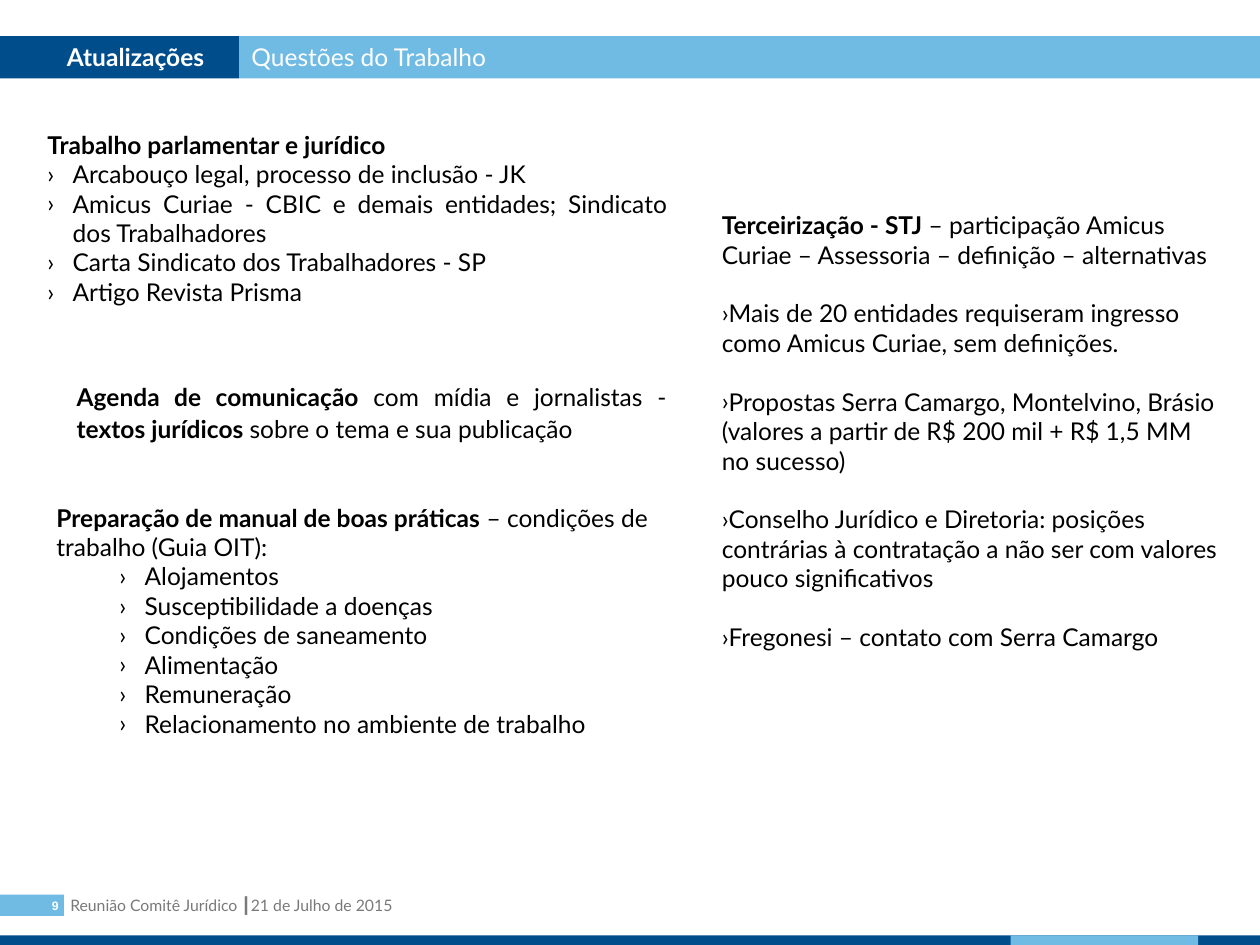
from dataclasses import dataclass
from typing import Optional

from lxml.etree import SubElement
from pptx import Presentation
from pptx.dml.color import RGBColor
from pptx.enum.shapes import MSO_SHAPE
from pptx.enum.text import MSO_ANCHOR, MSO_AUTO_SIZE, PP_ALIGN
from pptx.oxml.ns import qn
from pptx.util import Pt

NAVY, SKY, WHITE, BLACK, GRAY = "004D8C", "6FBBE4", "FFFFFF", "000000", "797979"
BULLET_INDENT = 14.4
BLANK_LINE = 16.8


@dataclass
class Style:
    size: float = 14
    color: str = BLACK
    font: str = "Lato"


@dataclass
class Line:
    runs: list[tuple[str, bool]]
    alignment: PP_ALIGN = PP_ALIGN.LEFT
    margin: float = 0
    bullet: bool = False
    space_before: float = 0
    line_spacing: float = 1.0


@dataclass
class Box:
    left: float
    top: float
    width: float
    height: float
    lines: list[Line]
    style: Style
    fill: Optional[str] = None
    insets: tuple[float, float, float, float] = (7.2, 3.6, 7.2, 3.6)
    anchor: MSO_ANCHOR = MSO_ANCHOR.TOP


def rgb(color: str) -> RGBColor:
    return RGBColor.from_string(color)


def set_attributes(target, values: dict) -> None:
    for name, value in values.items():
        setattr(target, name, value)


def add_bullet(properties) -> None:
    bullet_color = SubElement(properties, qn("a:buClr"))
    SubElement(bullet_color, qn("a:srgbClr"), val=BLACK)
    SubElement(properties, qn("a:buFont"), typeface="Lato")
    SubElement(properties, qn("a:buChar"), char="›")


def write_line(paragraph, line: Line, style: Style) -> None:
    properties = paragraph._p.get_or_add_pPr()
    properties.set("marL", str(Pt(line.margin)))
    properties.set("indent", str(Pt(-BULLET_INDENT if line.bullet else 0)))
    if line.bullet:
        add_bullet(properties)
    set_attributes(paragraph, {
        "alignment": line.alignment,
        "line_spacing": line.line_spacing,
        "space_before": Pt(line.space_before),
    })
    for text, bold in line.runs:
        run = paragraph.add_run()
        run.text = text
        set_attributes(run.font, {"name": style.font, "size": Pt(style.size), "bold": bold})
        run.font.color.rgb = rgb(style.color)


def draw_box(slide, box: Box) -> None:
    """Draw a filled rectangle, or a plain text box when there is no fill."""
    bounds = [Pt(value) for value in (box.left, box.top, box.width, box.height)]
    if box.fill:
        shape = slide.shapes.add_shape(MSO_SHAPE.RECTANGLE, *bounds)
        shape.shadow.inherit = False
        shape.fill.solid()
        shape.fill.fore_color.rgb = rgb(box.fill)
        shape.line.fill.background()
    else:
        shape = slide.shapes.add_textbox(*bounds)
    left, top, right, bottom = (Pt(value) for value in box.insets)
    frame = shape.text_frame
    set_attributes(frame, {
        "margin_left": left, "margin_top": top,
        "margin_right": right, "margin_bottom": bottom,
        "word_wrap": True,
        "vertical_anchor": box.anchor,
        "auto_size": MSO_AUTO_SIZE.NONE if box.fill else MSO_AUTO_SIZE.SHAPE_TO_FIT_TEXT,
    })
    for index, line in enumerate(box.lines):
        paragraph = frame.add_paragraph() if index else frame.paragraphs[0]
        write_line(paragraph, line, box.style)


def bullets(texts: list[str], **options) -> list[Line]:
    return [Line([(text, False)], bullet=True, **options) for text in texts]


body = Style()
footer = [
    Box(33.1, 508.3, 525.6, 18,
        [Line([("Reunião Comitê Jurídico ┃21 de Julho de 2015", False)])], Style(9, GRAY)),
    Box(0, 511.2, 36.5, 12.2, [Line([("9", True)], PP_ALIGN.RIGHT)],
        Style(7, WHITE, "Arial"), SKY, (0, 0, 2.9, 0), MSO_ANCHOR.MIDDLE),
    Box(0, 534.5, 720, 5.5, [], body, NAVY),
    Box(577.5, 534.5, 107.2, 5.5, [], body, SKY),
]
header = [
    Box(0, 20.6, 136.6, 24.2, [Line([("Atualizações", True)], margin=35.3)],
        Style(color=WHITE), NAVY, (2.9, 3.6, 2.9, 3.6)),
    Box(136.6, 20.6, 583.4, 24.2, [Line([("Questões do Trabalho", False)])],
        Style(color=WHITE), SKY),
]
legal_work = Box(20, 70.6, 368.6, 108.7, [
    Line([("Trabalho parlamentar e jurídico", True)]),
    *bullets(["Arcabouço legal, processo de inclusão - JK"], margin=BULLET_INDENT),
    *bullets([
        "Amicus Curiae - CBIC e demais entidades; Sindicato dos Trabalhadores",
        "Carta Sindicato dos Trabalhadores - SP",
        "Artigo Revista Prisma",
    ], margin=BULLET_INDENT, alignment=PP_ALIGN.JUSTIFY),
], body)
good_practices = Box(25.2, 283.7, 374.4, 190.8, [
    Line([("Preparação de manual de boas práticas ", True),
          ("– condições de trabalho (Guia OIT):", False)]),
    *bullets([
        "Alojamentos",
        "Susceptibilidade a doenças",
        "Condições de saneamento",
        "Alimentação",
        "Remuneração",
        "Relacionamento no ambiente de trabalho",
    ], margin=50.4),
], body)
communication = Box(36.7, 213.1, 351.4, 44.6, [
    Line([("Agenda de comunicação ", True), ("com mídia e jornalistas - ", False),
          ("textos jurídicos ", True), ("sobre o tema e sua publicação", False)],
         PP_ALIGN.JUSTIFY, line_spacing=1.1),
], body)
outsourcing = Box(405.4, 116.6, 300.2, 292.3, [
    Line([("Terceirização - STJ", True),
          (" – participação Amicus Curiae – Assessoria – definição – alternativas", False)]),
    *bullets([
        "Mais de 20 entidades requiseram ingresso como Amicus Curiae, sem definições.",
        "Propostas Serra Camargo, Montelvino, Brásio "
        "(valores a partir de R$ 200 mil + R$ 1,5 MM no sucesso)",
        "Conselho Jurídico e Diretoria: posições contrárias à contratação "
        "a não ser com valores pouco significativos",
        "Fregonesi – contato com Serra Camargo",
    ], space_before=BLANK_LINE),
], body)


def main() -> None:
    presentation = Presentation()
    set_attributes(presentation, {"slide_width": Pt(720), "slide_height": Pt(540)})
    slide = presentation.slides.add_slide(presentation.slide_layouts[6])
    for box in [*footer, *header, legal_work, good_practices, communication, outsourcing]:
        draw_box(slide, box)
    presentation.save("out.pptx")


if __name__ == "__main__":
    main()
